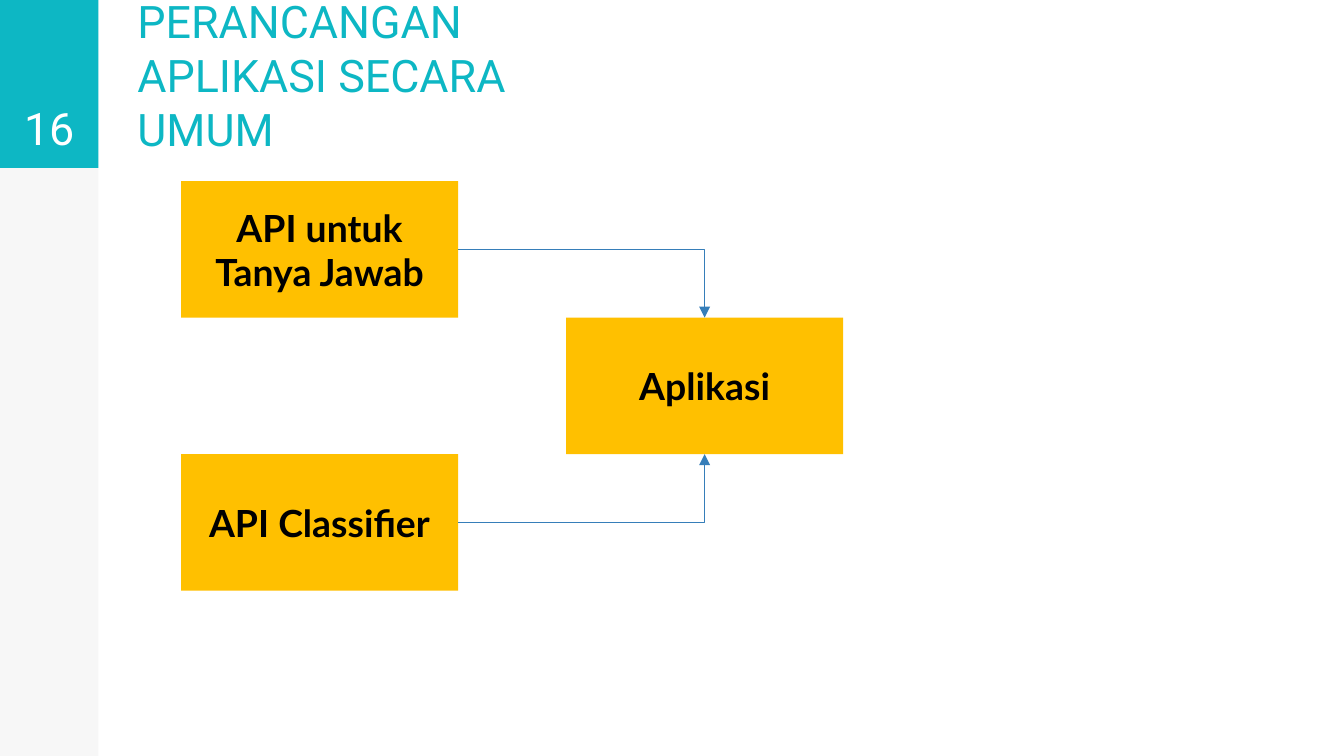
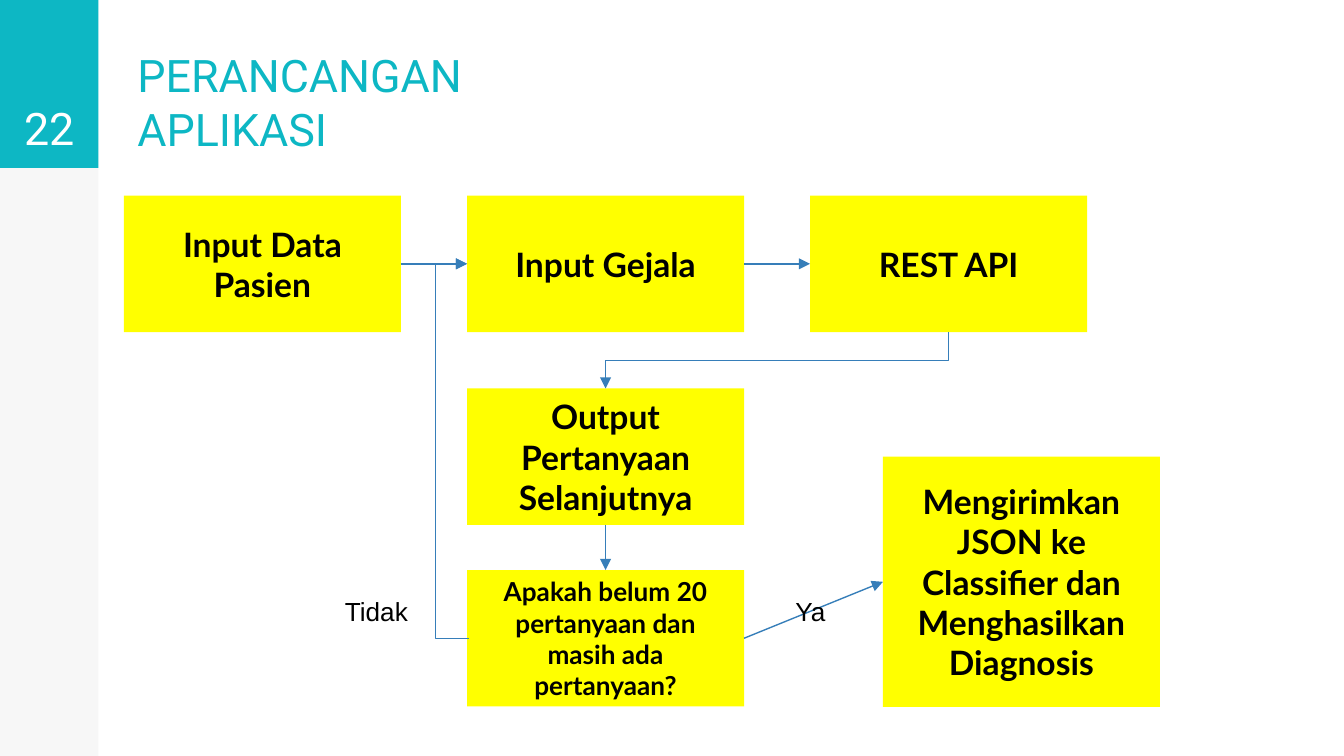
from lxml.etree import SubElement
from pptx import Presentation
from pptx.dml.color import RGBColor
from pptx.enum.shapes import MSO_CONNECTOR, MSO_SHAPE
from pptx.enum.text import MSO_ANCHOR, MSO_AUTO_SIZE, PP_ALIGN
from pptx.oxml.ns import qn
from pptx.util import Pt

TEAL = "0DB7C4"
BLACK = "000000"
WHITE = "FFFFFF"
AMBER = "FFC000"
YELLOW = "FFFF00"
BLUE = "367EB9"

BAND_WIDTH, HEADER_HEIGHT = 52.7, 90
BOX_WIDTH, BOX_HEIGHT = 148.4, 73.1
TOP, LEFT, BOTTOM, RIGHT = range(4)


def color(value):
    return RGBColor.from_string(value)


class Deck:
    def __init__(self):
        self.presentation = Presentation()
        self.presentation.slide_width = Pt(720)
        self.presentation.slide_height = Pt(405)
        self.slide = None

    def add_slide(self, title, number):
        layout = self.presentation.slide_layouts[5]
        self.slide = self.presentation.slides.add_slide(layout)
        side = self.rectangle(0, 0, BAND_WIDTH, 405, BLACK)
        solid = side._element.spPr.find(qn("a:solidFill"))
        SubElement(solid[0], qn("a:alpha"), val="3000")
        self.rectangle(0, 0, BAND_WIDTH, HEADER_HEIGHT, TEAL)
        shape = self.slide.shapes.title
        shape.left, shape.top = Pt(66.4), Pt(0.5)
        shape.width, shape.height = Pt(280), Pt(HEADER_HEIGHT)
        self.set_text(shape, title, 24, "Roboto", TEAL, PP_ALIGN.LEFT,
                      MSO_ANCHOR.BOTTOM, inset=7.2)
        shape = self.text_box(0, 0, BAND_WIDTH, HEADER_HEIGHT)
        self.set_text(shape, number, 24, "Roboto", WHITE,
                      anchor=MSO_ANCHOR.BOTTOM, inset=7.2)

    def set_text(self, shape, text, size, font, ink=BLACK, align=PP_ALIGN.CENTER,
                 anchor=MSO_ANCHOR.MIDDLE, bold=False, inset=3.6):
        frame = shape.text_frame
        frame.text = text
        frame.word_wrap = True
        frame.auto_size = MSO_AUTO_SIZE.NONE
        frame.vertical_anchor = anchor
        frame.margin_left = frame.margin_right = Pt(7.2)
        frame.margin_top = frame.margin_bottom = Pt(inset)
        paragraph = frame.paragraphs[0]
        paragraph.alignment = align
        paragraph.font.size = Pt(size)
        paragraph.font.name = font
        paragraph.font.bold = bold
        paragraph.font.color.rgb = color(ink)

    def text_box(self, left, top, width, height):
        return self.slide.shapes.add_textbox(
            Pt(left), Pt(top), Pt(width), Pt(height))

    def rectangle(self, left, top, width, height, fill):
        shape = self.slide.shapes.add_shape(
            MSO_SHAPE.RECTANGLE, Pt(left), Pt(top), Pt(width), Pt(height))
        shape.shadow.inherit = False
        shape.fill.solid()
        shape.fill.fore_color.rgb = color(fill)
        shape.line.fill.background()
        return shape

    def box(self, text, left, top, fill, size, height=BOX_HEIGHT):
        shape = self.rectangle(left, top, BOX_WIDTH, height, fill)
        self.set_text(shape, text, size, "Lato", bold=True)
        return shape

    def label(self, text, left, top):
        shape = self.text_box(left, top, 67.7, 24.2)
        self.set_text(shape, text, 14, "Arial", anchor=MSO_ANCHOR.TOP)

    def arrow(self, kind, *ends):
        connector = self.slide.shapes.add_connector(
            kind, *[Pt(value) for value in ends])
        connector.line.color.rgb = color(BLUE)
        connector.line.width = Pt(0.75)
        properties = connector._element.spPr
        SubElement(properties.find(qn("a:ln")), qn("a:tailEnd"), type="triangle")
        SubElement(properties, qn("a:effectLst"))
        return connector

    def join(self, begin, begin_site, end, end_site, kind=MSO_CONNECTOR.STRAIGHT):
        connector = self.arrow(kind, 0, 0, 0, 0)
        connector.begin_connect(begin, begin_site)
        connector.end_connect(end, end_site)
        return connector

    def corner(self, begin, begin_site, end, end_site):
        connector = self.join(begin, begin_site, end, end_site, MSO_CONNECTOR.ELBOW)
        connector._element.spPr.find(qn("a:prstGeom")).set("prst", "bentConnector2")

    def step_down_left(self, begin, end):
        connector = self.join(begin, BOTTOM, end, TOP, MSO_CONNECTOR.ELBOW)
        width, height = connector.width, connector.height
        connector.left += (width - height) // 2
        connector.top += (height - width) // 2
        connector.width, connector.height = height, width
        transform = connector._element.spPr.find(qn("a:xfrm"))
        transform.set("flipH", "0")
        transform.set("rot", str(90 * 60000))

    def loop_back(self, begin, end, reach):
        x = begin.left.pt
        begin_y, end_y = [(shape.top + shape.height // 2) / Pt(1)
                          for shape in (begin, end)]
        connector = self.arrow(MSO_CONNECTOR.ELBOW, x + 1, begin_y, x, end_y)
        guides = connector._element.spPr.find(qn("a:prstGeom")).find(qn("a:avLst"))
        SubElement(guides, qn("a:gd"), name="adj1", fmla=f"val {reach * 100000}")


def add_overview(deck):
    deck.add_slide("PERANCANGAN APLIKASI SECARA UMUM", "16")
    top = 97.1
    questions = deck.box("API untuk Tanya Jawab", 97, top, AMBER, 20)
    classifier = deck.box("API Classifier", 97, top + 2 * BOX_HEIGHT, AMBER, 20)
    application = deck.box("Aplikasi", 303.3, top + BOX_HEIGHT, AMBER, 20)
    deck.corner(questions, RIGHT, application, TOP)
    deck.corner(classifier, RIGHT, application, BOTTOM)


def add_flow(deck):
    deck.add_slide("PERANCANGAN APLIKASI", "22")
    columns = [66.4 + 183.8 * index for index in range(3)]
    patient, symptoms, service = [
        deck.box(text, left, 104.8, YELLOW, 18)
        for text, left in zip(("Input Data Pasien", "Input Gejala", "REST API"), columns)]
    output = deck.box("Output Pertanyaan Selanjutnya", columns[1], 208.1, YELLOW, 18)
    check = deck.box("Apakah belum 20 pertanyaan dan masih ada pertanyaan?",
                     columns[1], 305.4, YELLOW, 14)
    diagnosis = deck.box("Mengirimkan JSON ke Classifier dan Menghasilkan Diagnosis",
                         473, 244.7, YELLOW, 18, height=134)
    deck.join(patient, RIGHT, symptoms, LEFT)
    deck.join(symptoms, RIGHT, service, LEFT)
    deck.step_down_left(service, output)
    deck.join(output, BOTTOM, check, TOP)
    deck.loop_back(check, symptoms, reach=18)
    deck.join(check, RIGHT, diagnosis, LEFT)
    deck.label("Tidak", 167.8, 315.4)
    deck.label("Ya", 400.3, 315.4)


def main():
    deck = Deck()
    add_overview(deck)
    add_flow(deck)
    deck.presentation.save("out.pptx")


if __name__ == "__main__":
    main()
